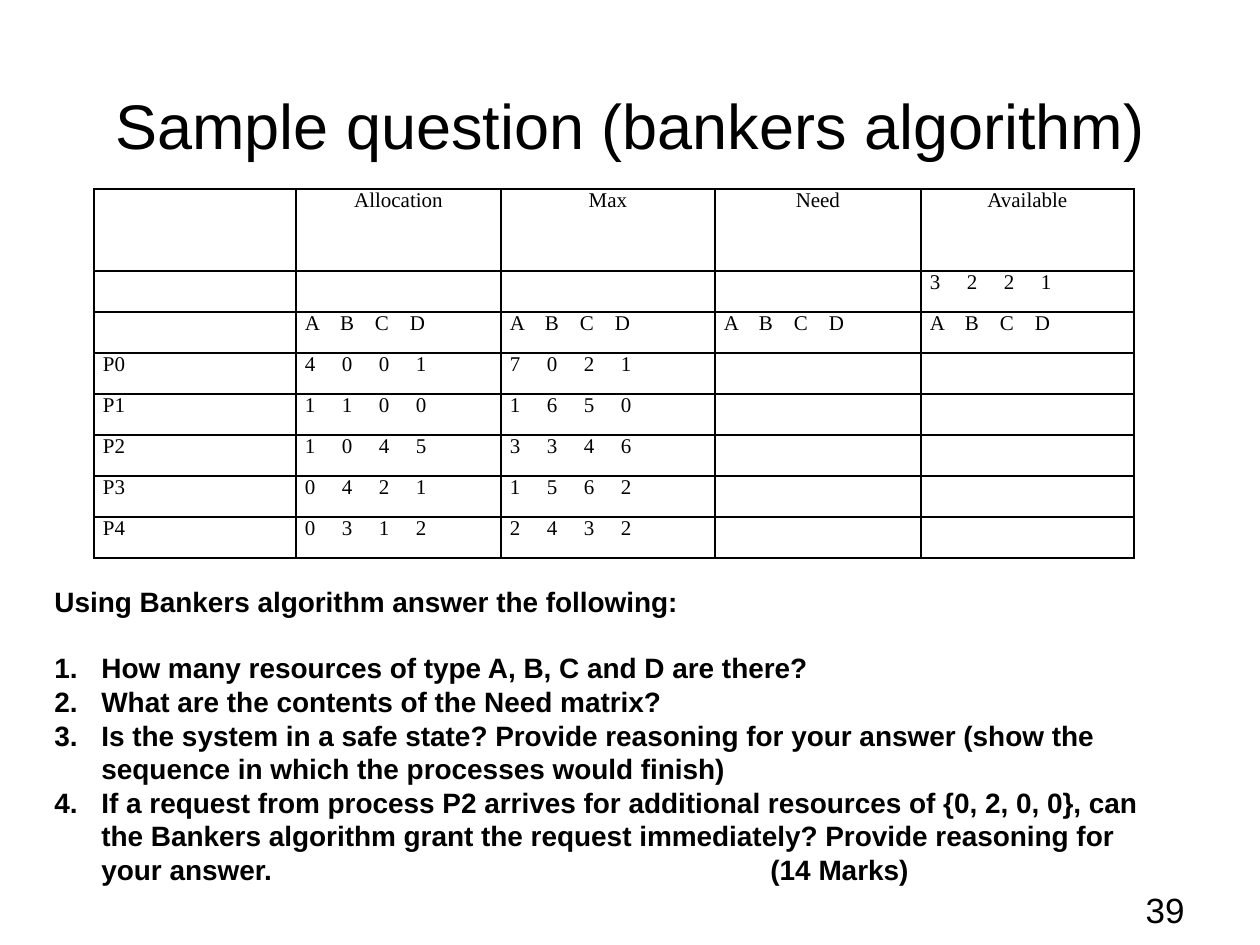
from lxml import etree
from pptx import Presentation
from pptx.dml.color import RGBColor
from pptx.enum import text
from pptx.oxml.ns import qn
from pptx.util import Emu, Pt

PX = 914400 / 126
BLACK, WHITE = "000000", "FFFFFF"
SANS, SERIF = "Arial", "Times New Roman"

TITLE = "Sample question (bankers algorithm)"
PAGE = "39"
HEADINGS = ["", "Allocation", "Max", "Need", "Available"]
LETTERS = "ABCD"
STATE = [
    ["", "", "", "", "3221"],
    ["", LETTERS, LETTERS, LETTERS, LETTERS],
    ["P0", "4001", "7021", "", ""],
    ["P1", "1100", "1650", "", ""],
    ["P2", "1045", "3346", "", ""],
    ["P3", "0421", "1562", "", ""],
    ["P4", "0312", "2432", "", ""],
]
INTRO = "Using Bankers algorithm answer the following:"
QUESTIONS = [
    "How many resources of type A, B, C and D are there?",
    "What are the contents of the Need matrix?",
    "Is the system in a safe state? Provide reasoning for your answer "
    "(show the sequence in which the processes would finish)",
    "If a request from process P2 arrives for additional resources of "
    "{0, 2, 0, 0}, can the Bankers algorithm grant the request immediately? "
    "Provide reasoning for your answer.\t(14 Marks)",
]
COLUMNS = [202, 205, 214, 206, 213]
HEADING_HEIGHT, ROW_HEIGHT = 82, 41
LETTER_STEP, DIGIT_STEP = 35, 37
HANG, MARKS_STOP = 47, 716


def px(length):
    return Emu(round(length * PX))


def color(value):
    return RGBColor.from_string(value)


def write(paragraph, words, size, font, bold=False, align=text.PP_ALIGN.LEFT):
    paragraph.alignment = align
    run = paragraph.add_run()
    run.text = words
    run.font.size = Pt(size)
    run.font.name = font
    run.font.bold = bold
    run.font.color.rgb = color(BLACK)


def add_box(slide, left, top, width, height, anchor=text.MSO_ANCHOR.TOP):
    box = slide.shapes.add_textbox(px(left), px(top), px(width), px(height))
    frame = box.text_frame
    frame.word_wrap = True
    frame.vertical_anchor = anchor
    return frame


def set_tabs(paragraph, stops):
    tabs = etree.SubElement(paragraph._p.get_or_add_pPr(), qn("a:tabLst"))
    for stop in stops:
        etree.SubElement(tabs, qn("a:tab"), pos=str(px(stop)), algn="l")


def number(paragraph):
    properties = paragraph._p.get_or_add_pPr()
    properties.set("marL", str(px(HANG)))
    properties.set("indent", str(-px(HANG)))
    etree.SubElement(properties, qn("a:buFont"), typeface="+mj-lt")
    etree.SubElement(properties, qn("a:buAutoNum"), type="arabicPeriod")


def set_borders(cell):
    properties = cell._tc.get_or_add_tcPr()
    for position, side in enumerate(["a:lnL", "a:lnR", "a:lnT", "a:lnB"]):
        line = etree.Element(qn(side), w=str(Pt(1)))
        fill = etree.SubElement(line, qn("a:solidFill"))
        etree.SubElement(fill, qn("a:srgbClr"), val=BLACK)
        properties.insert(position, line)


def add_state_table(slide):
    rows = [HEADINGS] + STATE
    heights = [HEADING_HEIGHT] + [ROW_HEIGHT] * len(STATE)
    table = slide.shapes.add_table(
        len(rows), len(COLUMNS), px(94), px(189),
        px(sum(COLUMNS)), px(sum(heights))).table
    table.first_row = table.horz_banding = False
    for column, width in zip(table.columns, COLUMNS):
        column.width = px(width)
    for row, height in zip(table.rows, heights):
        row.height = px(height)
    for r, entries in enumerate(rows):
        for c, entry in enumerate(entries):
            cell = table.cell(r, c)
            cell.margin_left = cell.margin_right = px(9)
            cell.margin_top = cell.margin_bottom = 0
            cell.fill.background()
            set_borders(cell)
            paragraph = cell.text_frame.paragraphs[0]
            if r == 0 and entry:
                write(paragraph, entry, 12, SERIF, align=text.PP_ALIGN.CENTER)
            elif c == 0 and entry:
                write(paragraph, entry, 12, SERIF)
            elif entry:
                step = LETTER_STEP if entry == LETTERS else DIGIT_STEP
                set_tabs(paragraph, [step * i for i in range(1, len(entry))])
                write(paragraph, "\t".join(entry), 12, SERIF)


def add_questions(slide):
    frame = add_box(slide, 42, 578, 1113, 318)
    write(frame.paragraphs[0], INTRO, 16, SANS, bold=True)
    for i, question in enumerate(QUESTIONS):
        paragraph = frame.add_paragraph()
        if i == 0:
            paragraph.space_before = Pt(19)
        number(paragraph)
        if "\t" in question:
            set_tabs(paragraph, [MARKS_STOP])
        write(paragraph, question, 16, SANS, bold=True)


def main():
    deck = Presentation()
    deck.slide_width, deck.slide_height = px(1260), px(945)
    slide = deck.slides.add_slide(deck.slide_layouts[6])
    slide.background.fill.solid()
    slide.background.fill.fore_color.rgb = color(WHITE)
    title = add_box(slide, 63, 38, 1134, 173, text.MSO_ANCHOR.MIDDLE)
    write(title.paragraphs[0], TITLE, 36, SANS, align=text.PP_ALIGN.CENTER)
    add_state_table(slide)
    page = add_box(slide, 903, 882, 294, 39)
    write(page.paragraphs[0], PAGE, 20, SANS, align=text.PP_ALIGN.RIGHT)
    add_questions(slide)
    deck.save("out.pptx")


if __name__ == "__main__":
    main()
